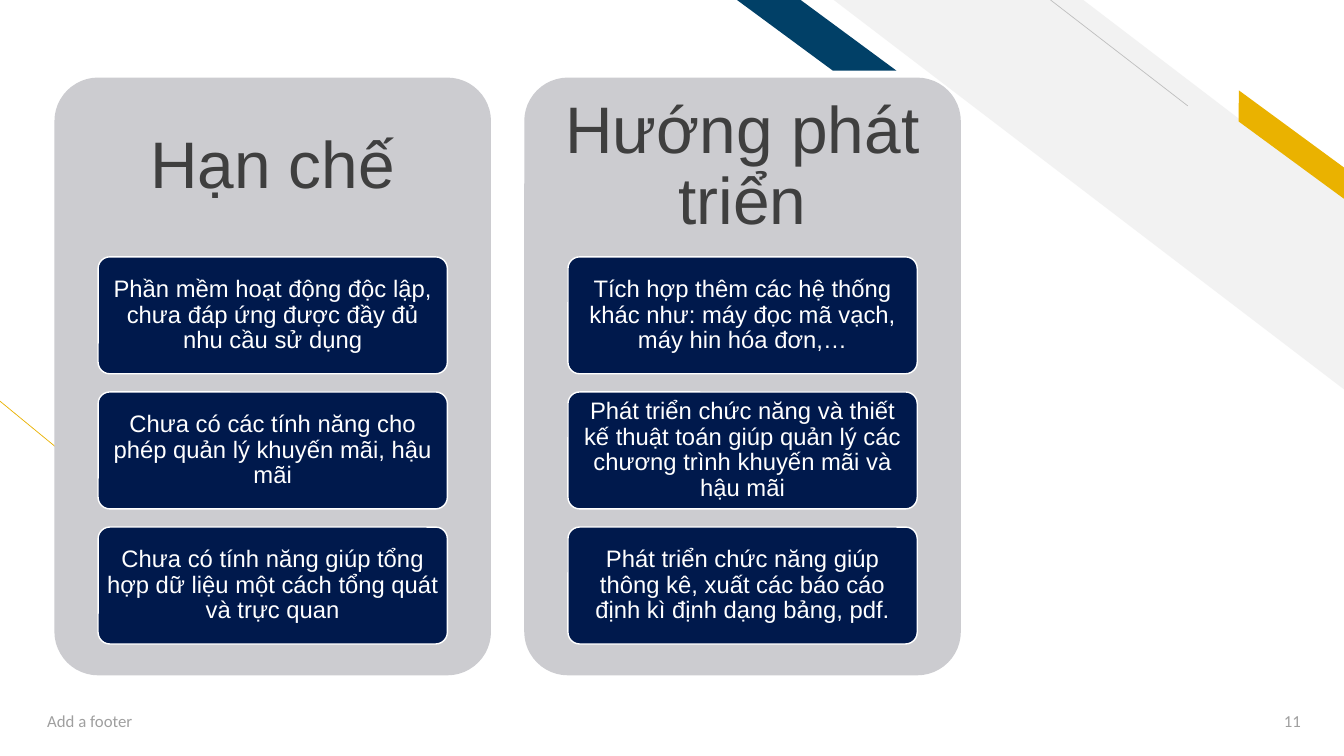
import pptx
import pptx.util
import pptx.dml.color
import pptx.enum.shapes
import pptx.enum.text
import pptx.oxml

COLS = [
    ("Hạn chế", [
        "Phần mềm hoạt động độc lập, chưa đáp ứng được đầy đủ nhu cầu sử dụng",
        "Chưa có các tính năng cho phép quản lý khuyến mãi, hậu mãi",
        "Chưa có tính năng giúp tổng hợp dữ liệu một cách tổng quát và trực quan",
    ]),
    ("Hướng phát triển", [
        "Tích hợp thêm các hệ thống khác như: máy đọc mã vạch, máy hin hóa đơn,…",
        "Phát triển chức năng và thiết kế thuật toán giúp quản lý các chương trình khuyến mãi và hậu mãi",
        "Phát triển chức năng giúp thông kê, xuất các báo cáo định kì định dạng bảng, pdf.",
    ]),
]
FOOT, PAGE = "Add a footer", "11"
HUES = {
    "navy": "00194C", "teal": "014067", "gold": "EAB200", "pale": "F2F2F2",
    "rule": "BFBFBF", "panel": "CCCCD0", "head": "3F3F3F", "foot": "9F9F9F",
    "white": "FFFFFF",
}
WIDE, HIGH = 13.33, 7.5
LEFT, TOP, STEP = 0.54, 0.77, 4.66
PANEL_W, PANEL_H = 4.33, 5.93
HEAD_H = 0.3 * PANEL_H
CARD_W, CARD_H, CARD_STEP = 0.8 * PANEL_W, 1.16, 1.34

Inches, Pt = pptx.util.Inches, pptx.util.Pt
KIND = pptx.enum.shapes.MSO_SHAPE
ALIGN = pptx.enum.text.PP_ALIGN
MIDDLE = pptx.enum.text.MSO_ANCHOR.MIDDLE
NONE = pptx.enum.text.MSO_AUTO_SIZE.NONE
DRAW = "http://schemas.openxmlformats.org/drawingml/2006/main"


def hue(name):
    return pptx.dml.color.RGBColor.from_string(HUES[name])


def place(item, left, top, width, height):
    item.left, item.top = Inches(left), Inches(top)
    item.width, item.height = Inches(width), Inches(height)


def shape(kind, box, fill, adj, flip=False, turn=0, edge=None):
    item = slide.shapes.add_shape(kind, *map(Inches, box))
    item.adjustments[0] = adj
    item.shadow.inherit = False
    item.fill.solid()
    item.fill.fore_color.rgb = hue(fill)
    if edge:
        item.line.color.rgb = hue(edge)
        item.line.width = Pt(1)
    else:
        item.line.fill.background()
    item.rotation = turn
    if flip:
        item.element.spPr.get_or_add_xfrm().set("flipH", "1")
    return item


def line(ends, color):
    item = slide.shapes.add_connector(
        pptx.enum.shapes.MSO_CONNECTOR.STRAIGHT, *map(Inches, ends))
    item.line.color.rgb = hue(color)
    item.line.width = Pt(0.5)
    item.element.spPr.append(
        pptx.oxml.parse_xml(f'<a:effectLst xmlns:a="{DRAW}"/>'))


def write(item, text, size, color, face="Arial", align=ALIGN.CENTER,
          pad=(0.1, 0.05), space=1.0):
    frame = item.text_frame
    frame.text = text
    frame.word_wrap = True
    frame.auto_size = NONE
    frame.vertical_anchor = MIDDLE
    frame.margin_left = frame.margin_right = Inches(pad[0])
    frame.margin_top = frame.margin_bottom = Inches(pad[1])
    para = frame.paragraphs[0]
    para.alignment = align
    para.line_spacing = space
    para.space_before = Pt(0)
    font = para.font
    font.size, font.name, font.bold = Pt(size), face, False
    font.color.rgb = hue(color)


def label(box, *args):
    write(slide.shapes.add_textbox(*map(Inches, box)), *args)


deck = pptx.Presentation()
deck.slide_width, deck.slide_height = Inches(WIDE), Inches(HIGH)
slide = deck.slides.add_slide(deck.slide_layouts.get_by_name("Comparison"))
heads = [p for p in slide.placeholders if p.placeholder_format.idx in (1, 3)]
for spare in list(slide.placeholders):
    if spare.placeholder_format.idx not in (1, 3):
        spare.element.getparent().remove(spare.element)

line((2.08, 5.69, 0, 3.98), "gold")
shape(KIND.DIAGONAL_STRIPE, (8.27, 0, 5.07, 3.87), "pale", 0.512, flip=True)
line((11.78, 1.05, 10.42, 0), "rule")
shape(KIND.PARALLELOGRAM, (12.07, 1.31, 1.48, 0.25), "gold", 0.72, True, 36.3)
shape(KIND.PARALLELOGRAM, (7.31, 0, 1.58, 0.7), "teal", 1.356, flip=True)
label((0.37, 6.95, 4.5, 0.4), FOOT, 12, "foot", "Calibri", ALIGN.LEFT)
label((12.19, 6.95, 0.81, 0.4), PAGE, 12, "foot", "Calibri", ALIGN.RIGHT)

for col, ((title, notes), head) in enumerate(zip(COLS, heads)):
    x = LEFT + col * STEP
    panel = shape(KIND.ROUNDED_RECTANGLE, (x, TOP, PANEL_W, PANEL_H), "panel", 0.1)
    place(head, x, TOP, PANEL_W, HEAD_H)
    write(head, title, 47, "head", pad=(0.2, 0.2), space=0.9)
    panel.element.addnext(head.element)
    for row, note in enumerate(notes):
        box = (x + (PANEL_W - CARD_W) / 2, TOP + HEAD_H + row * CARD_STEP,
               CARD_W, CARD_H)
        card = shape(KIND.ROUNDED_RECTANGLE, box, "navy", 0.1, edge="white")
        write(card, note, 17, "white", pad=(0.05, 0.04), space=0.9)

deck.save("out.pptx")
